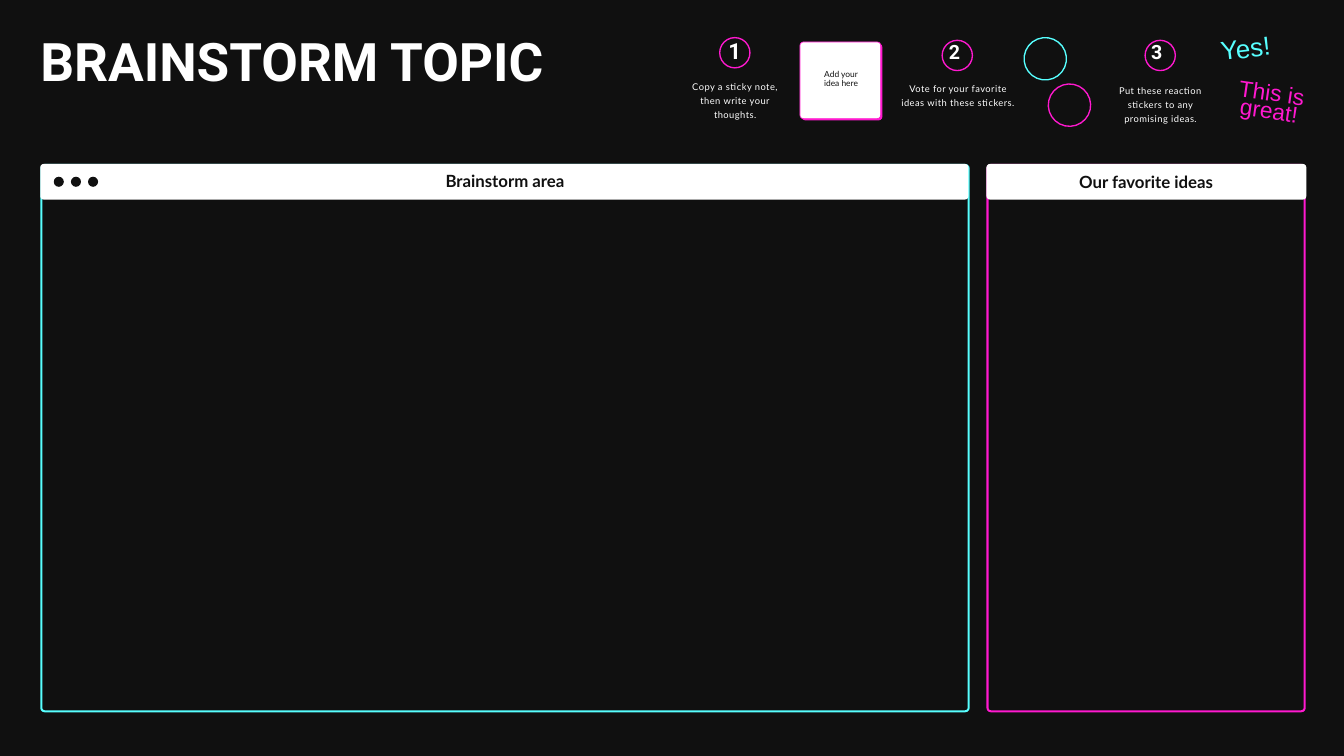
from dataclasses import dataclass

from pptx import Presentation
from pptx.dml.color import RGBColor
from pptx.enum.shapes import MSO_SHAPE
from pptx.enum.text import MSO_ANCHOR, MSO_AUTO_SIZE, PP_ALIGN
from pptx.shapes.autoshape import Shape
from pptx.slide import Slide
from pptx.util import Inches, Pt

COLORS = {"black": "101010", "white": "FFFFFF", "pink": "FF19CF", "cyan": "57FFFF"}
CORNER = 0.05
FRAME_LINE = 0.03


@dataclass(frozen=True)
class Area:
    left: float
    top: float
    width: float
    height: float

    def inset(self, amount: float) -> "Area":
        return Area(self.left + amount, self.top + amount,
                    self.width - 2 * amount, self.height - 2 * amount)

    def lengths(self) -> tuple:
        return tuple(Inches(n) for n in (self.left, self.top, self.width, self.height))


@dataclass(frozen=True)
class Style:
    font: str
    size: float
    line_height: float
    color: str
    bold: bool = False
    align: PP_ALIGN = PP_ALIGN.CENTER
    tracking: int = 0


@dataclass(frozen=True)
class Panel:
    frame: Area
    header_width: float
    color: str
    fill: str | None
    title: str
    title_area: Area


@dataclass(frozen=True)
class Step:
    number: str
    circle: Area
    number_area: Area
    number_style: Style
    lines: tuple[str, ...]
    text_area: Area


@dataclass(frozen=True)
class Sticker:
    area: Area
    color: str
    rotation: float


@dataclass(frozen=True)
class Reaction:
    lines: tuple[str, ...]
    area: Area
    style: Style
    rotation: float


TITLE = Style("Roboto", 56.9, 54.6, "white", True, PP_ALIGN.LEFT)
PANEL_TITLE = Style("Lato", 18, 25.2, "black", True)
NOTE = Style("Lato", 9, 10.3, "black")
INSTRUCTION = Style("Lato", 10, 15, "white", tracking=50)
FIRST_NUMBER = Style("Roboto", 23.9, 22.9, "white", True, PP_ALIGN.LEFT)
NUMBER = Style("Roboto", 21, 20.2, "white", True, PP_ALIGN.LEFT)

PANELS = (
    Panel(Area(14.68, 2.44, 4.75, 8.16), 4.76, "pink", None,
          "Our favorite ideas", Area(15.36, 2.51, 3.39, 0.37)),
    Panel(Area(0.6, 2.44, 13.83, 8.16), 13.81, "cyan", "black",
          "Brainstorm area", Area(5.82, 2.49, 3.39, 0.39)),
)
STEPS = (
    Step("1", Area(10.7, 0.55, 0.47, 0.47), Area(10.84, 0.63, 0.13, 0.38), FIRST_NUMBER,
         ("Copy a sticky note, then write your thoughts.",), Area(10.13, 1.16, 1.62, 0.66)),
    Step("2", Area(14.01, 0.59, 0.47, 0.47), Area(14.12, 0.67, 0.13, 0.33), NUMBER,
         ("Vote for your favorite", "ideas with these stickers."),
         Area(13.36, 1.2, 1.79, 0.65)),
    Step("3", Area(17.03, 0.59, 0.47, 0.47), Area(17.13, 0.67, 0.13, 0.33), NUMBER,
         ("Put these reaction stickers to any", "promising ideas."),
         Area(16.46, 1.22, 1.62, 0.66)),
)
STICKERS = (
    Sticker(Area(15.23, 0.55, 0.65, 0.65), "cyan", -6.8),
    Sticker(Area(15.59, 1.24, 0.65, 0.65), "pink", 12.3),
)
REACTIONS = (
    Reaction(("This is", "great!"), Area(18.4, 1.3, 0.99, 0.58),
             Style("Arial", 24.4, 19.5, "pink"), 8.2),
    Reaction(("Yes!",), Area(17.98, 0.63, 1.13, 0.36),
             Style("Arial", 27.9, 22.3, "cyan"), -6.8),
)


def rgb(name: str) -> RGBColor:
    return RGBColor.from_string(COLORS[name])


def write(box: Shape, lines: tuple[str, ...], style: Style) -> None:
    frame = box.text_frame
    frame.word_wrap = True
    frame.auto_size = MSO_AUTO_SIZE.NONE
    frame.vertical_anchor = MSO_ANCHOR.TOP
    frame.margin_left = frame.margin_top = frame.margin_right = frame.margin_bottom = 0
    for index, line in enumerate(lines):
        para = frame.add_paragraph() if index else frame.paragraphs[0]
        para.alignment = style.align
        para.line_spacing = Pt(style.line_height)
        para.space_before = Pt(0)
        span = para.add_run()
        span.text = line
        span.font.name = style.font
        span.font.size = Pt(style.size)
        span.font.bold = style.bold
        span.font.color.rgb = rgb(style.color)
        if style.tracking:
            span.font._element.set("spc", str(style.tracking))


def add_text(page: Slide, area: Area, lines: tuple[str, ...], style: Style,
             rotation: float = 0) -> None:
    box = page.shapes.add_textbox(*area.lengths())
    box.rotation = rotation
    write(box, lines, style)


def add_figure(page: Slide, kind: MSO_SHAPE, area: Area, fill: str | None = None,
               line: str | None = None, line_width: float = 0) -> Shape:
    shape = page.shapes.add_shape(kind, *area.inset(line_width / 2).lengths())
    shape.shadow.inherit = False
    if fill:
        shape.fill.solid()
        shape.fill.fore_color.rgb = rgb(fill)
    else:
        shape.fill.background()
    if line:
        shape.line.color.rgb = rgb(line)
        shape.line.width = Inches(line_width)
    else:
        shape.line.fill.background()
    if kind == MSO_SHAPE.ROUNDED_RECTANGLE:
        shape.adjustments[0] = CORNER / min(area.width, area.height)
    return shape


def add_panel(page: Slide, panel: Panel) -> None:
    frame = panel.frame
    add_figure(page, MSO_SHAPE.ROUNDED_RECTANGLE, frame, panel.fill, panel.color, FRAME_LINE)
    header = Area(frame.left, frame.top, panel.header_width, 0.53)
    add_figure(page, MSO_SHAPE.ROUNDED_RECTANGLE, header, "white")
    add_text(page, panel.title_area, (panel.title,), PANEL_TITLE)


def add_sticky_note(page: Slide) -> None:
    add_figure(page, MSO_SHAPE.ROUNDED_RECTANGLE, Area(11.93, 0.65, 1.2, 1.14), "pink")
    add_figure(page, MSO_SHAPE.ROUNDED_RECTANGLE, Area(11.9, 0.62, 1.21, 1.15),
               "white", "pink", 0.01)
    add_text(page, Area(12.02, 1.03, 0.99, 0.3), ("Add your", "idea here"), NOTE)


def add_step(page: Slide, step: Step) -> None:
    add_figure(page, MSO_SHAPE.OVAL, step.circle, line="pink", line_width=0.02)
    add_text(page, step.number_area, (step.number,), step.number_style)
    add_text(page, step.text_area, step.lines, INSTRUCTION)


def main() -> None:
    deck = Presentation()
    deck.slide_width, deck.slide_height = Inches(20), Inches(11.25)
    page = deck.slides.add_slide(deck.slide_layouts[5])
    page.background.fill.solid()
    page.background.fill.fore_color.rgb = rgb("black")

    title = page.shapes.title
    title.left, title.top, title.width, title.height = Area(0.6, 0.61, 9.4, 1.64).lengths()
    write(title, ("BRAINSTORM TOPIC",), TITLE)

    for panel in PANELS:
        add_panel(page, panel)
    for index in range(3):
        dot = Area(0.8 + 0.255 * index, 2.63, 0.15, 0.15)
        add_figure(page, MSO_SHAPE.OVAL, dot, "black")
    add_sticky_note(page)
    for reaction in REACTIONS:
        add_text(page, reaction.area, reaction.lines, reaction.style, reaction.rotation)
    for step in STEPS:
        add_step(page, step)
    for sticker in STICKERS:
        ring = add_figure(page, MSO_SHAPE.OVAL, sticker.area, None, sticker.color, 0.02)
        ring.rotation = sticker.rotation
    deck.save("out.pptx")


if __name__ == "__main__":
    main()
